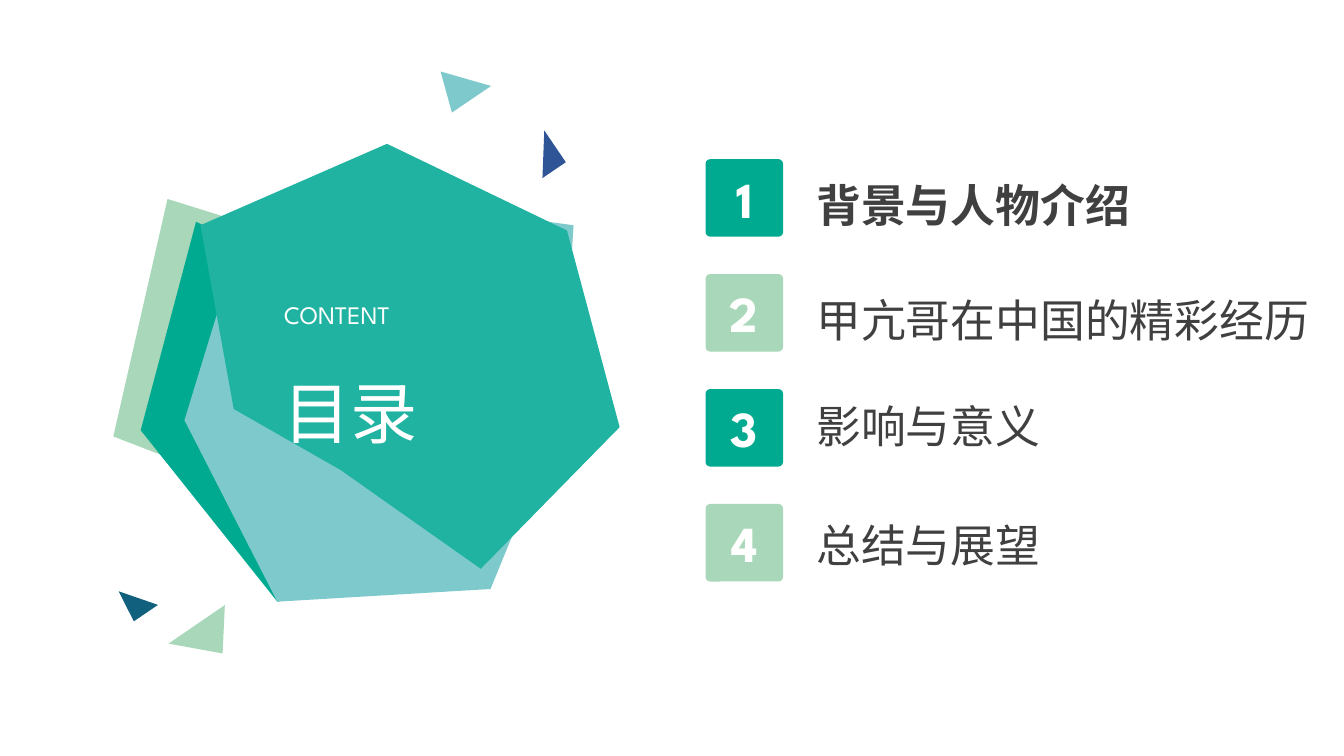
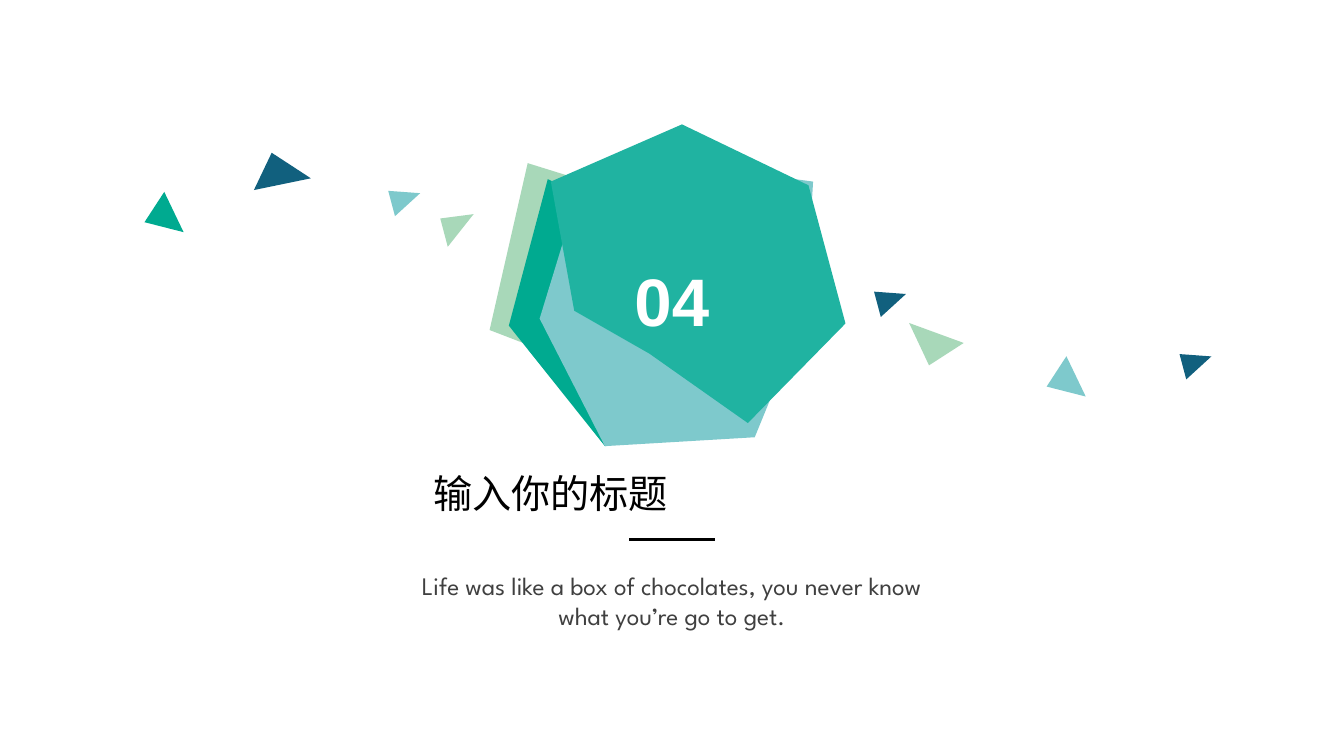
from pptx import Presentation
from pptx.chart.data import CategoryChartData
from pptx.dml.color import RGBColor
from pptx.enum.chart import XL_CHART_TYPE
from pptx.enum.shapes import MSO_CONNECTOR, MSO_SHAPE
from pptx.enum.text import MSO_ANCHOR, MSO_AUTO_SIZE, PP_ALIGN
from pptx.oxml import parse_xml
from pptx.oxml.ns import nsdecls, qn
from pptx.util import Pt

RADAR = XL_CHART_TYPE.RADAR_FILLED
STRAIGHT = MSO_CONNECTOR.STRAIGHT
ROUNDED, TRIANGLE = MSO_SHAPE.ROUNDED_RECTANGLE, MSO_SHAPE.ISOSCELES_TRIANGLE
LEFT, CENTER, JUSTIFY = PP_ALIGN.LEFT, PP_ALIGN.CENTER, PP_ALIGN.JUSTIFY
MIDDLE = MSO_ANCHOR.MIDDLE
GROW = MSO_AUTO_SIZE.SHAPE_TO_FIT_TEXT

TEAL, AQUA, GREEN, MINT = "20B3A1", "7EC9CC", "00AA90", "A8D8B9"
NAVY, BLUE = "11607E", "2F5597"
WHITE, GREY, BLACK = "FFFFFF", "404040", "000000"
DISPLAY, BODY, CHART_FONT = "League Spartan", "Arial", "Calibri"

GEM_RATIO = 0.678
GEM_PLOT = {"x": 0.128, "y": 0.008, "w": 0.707, "h": 0.984}
GEM_LAYERS = [
    (TEAL, (82, 82, 85, 77, 38, 56, 85)),
    (AQUA, (62, 85, 64, 85, 90, 74, 69)),
    (GREEN, (21, 21, 21, 72, 90, 90, 87)),
    (MINT, (38, 49, 23, 28, 56, 100, 100)),
    (NAVY, (77, 31, 67, 74, 49, 59, 62)),
]


def rgb(color):
    return RGBColor.from_string(color)


def write(frame, text, *, size, color, font=BODY, bold=False, align=LEFT):
    para = frame.paragraphs[0]
    para.alignment = align
    span = para.add_run()
    span.text = text
    span.font.name = font
    span.font.size = Pt(size)
    span.font.bold = bold
    span.font.color.rgb = rgb(color)


def place_plot(chart):
    """Fix the inner plot area as fractions of the chart."""
    plot_area = chart.element.find(f".//{qn('c:plotArea')}")
    for layout in plot_area.findall(qn("c:layout")):
        plot_area.remove(layout)
    modes = "".join(f'<c:{side}Mode val="edge"/>' for side in "xy")
    sizes = "".join(f'<c:{key} val="{part}"/>' for key, part in GEM_PLOT.items())
    plot_area.insert(0, parse_xml(
        f'<c:layout {nsdecls("c")}><c:manualLayout><c:layoutTarget val="inner"/>'
        f"{modes}{sizes}</c:manualLayout></c:layout>"))


class Deck:
    def __init__(self):
        self.deck = Presentation()
        self.deck.slide_width, self.deck.slide_height = Pt(960), Pt(540)
        self.page = None

    def new_page(self):
        self.page = self.deck.slides.add_slide(self.deck.slide_layouts[6])

    def text(self, left, top, width, height, text, **style):
        box = self.page.shapes.add_textbox(Pt(left), Pt(top), Pt(width), Pt(height))
        box.text_frame.word_wrap = True
        box.text_frame.auto_size = GROW
        write(box.text_frame, text, **style)

    def shape(self, kind, left, top, width, height, color, adjust):
        shape = self.page.shapes.add_shape(
            kind, Pt(left), Pt(top), Pt(width), Pt(height))
        shape.adjustments[0] = adjust
        shape.shadow.inherit = False
        shape.fill.solid()
        shape.fill.fore_color.rgb = rgb(color)
        shape.line.fill.background()
        return shape

    def shards(self, rows):
        """Scatter small rotated triangles."""
        for left, top, width, height, turn, apex, color in rows:
            shard = self.shape(TRIANGLE, left, top, width, height, color, apex)
            shard.rotation = turn

    def badge(self, left, top, size, label, color):
        badge = self.shape(ROUNDED, left, top, size, size, color, 0.06)
        badge.text_frame.vertical_anchor = MIDDLE
        write(badge.text_frame, label, size=36, color=WHITE, font=DISPLAY,
              bold=True, align=CENTER)

    def rule(self, left, top, width):
        line = self.page.shapes.add_connector(
            STRAIGHT, Pt(left), Pt(top), Pt(left + width), Pt(top))
        line.line.color.rgb = rgb(BLACK)
        line.line.width = Pt(2.25)
        line.element.spPr.append(parse_xml(f'<a:effectLst {nsdecls("a")}/>'))

    def gem(self, left, top, width):
        """Draw the layered polygon as a filled radar chart without axes."""
        chart_data = CategoryChartData()
        chart_data.categories = [str(number) for number in range(1, 8)]
        for number, (_, values) in enumerate(GEM_LAYERS, 1):
            chart_data.add_series(f"Series {number}", values)
        chart = self.page.shapes.add_chart(
            RADAR, Pt(left), Pt(top), Pt(width), Pt(width * GEM_RATIO),
            chart_data).chart
        chart.has_legend = chart.has_title = False
        chart.font.name, chart.font.size = CHART_FONT, Pt(10)
        chart.font.color.rgb = rgb(BLACK)
        for axis in (chart.category_axis, chart.value_axis):
            axis.has_major_gridlines = False
            axis.visible = False
        chart.value_axis.minimum_scale = 0
        chart.value_axis.maximum_scale = 100
        chart.plots[0].vary_by_categories = False
        for series, (color, _) in zip(chart.plots[0].series, GEM_LAYERS):
            series.format.fill.solid()
            series.format.fill.fore_color.rgb = rgb(color)
            series.format.line.fill.background()
        place_plot(chart)


def contents_page(deck):
    deck.new_page()
    deck.gem(-13, 63.4, 601.2)
    deck.text(195.8, 210.2, 142.6, 28.8, "CONTENT", size=18, color=WHITE,
              font=DISPLAY, align=JUSTIFY)
    deck.text(195.1, 261.4, 143.3, 65.5, "目录", size=48, color=WHITE, align=JUSTIFY)
    entries = [
        ("背景与人物介绍", 123.1, 334.8),
        ("甲亢哥在中国的精彩经历", 205.2, 388.8),
        ("影响与意义", 281.5, 293),
        ("总结与展望", 366.5, 293),
    ]
    for index, (title, top, width) in enumerate(entries):
        deck.badge(504, 113.7 + 82.1 * index, 55.4, str(index + 1),
                   (GREEN, MINT)[index % 2])
        deck.text(576, top, width, 46, title, size=32, color=GREY, bold=index == 0)
    deck.shards([
        (311.8, 44.6, 33.8, 28.8, 325.8, 0.29, AQUA),
        (87.1, 416.2, 20.9, 23.8, 325.8, 0.15, NAVY),
        (378, 96.5, 20.2, 27.4, 325.8, 1, BLUE),
        (123.1, 429.1, 34.6, 38.9, 272.7, 0.15, MINT),
    ])


def section_page(deck):
    deck.new_page()
    deck.gem(283.7, 61.2, 422.6)
    deck.text(408.2, 181.4, 143.3, 65.5, "04", size=48, color=WHITE, bold=True,
              align=CENTER)
    deck.text(277.2, 403.9, 405.4, 51.1,
              "Life was like a box of chocolates, you never know what you’re go to get.",
              size=18, color=GREY, font=DISPLAY, align=CENTER)
    deck.text(302.4, 331.9, 355, 41, "输入你的标题", size=28, color=BLACK,
              align=JUSTIFY)
    deck.rule(449.3, 385.2, 61.2)
    wide = (28.8, 24.5, 14.3, 0.29)
    small = (18.7, 21.6, 75.1, 0.4)
    deck.shards([
        (750.2, 255.6, *wide, AQUA),
        (652.3, 222.5, 29.5, 33.1, 327.2, 0.15, MINT),
        (318.2, 151.2, 20.9, 23.8, 75.1, 0.15, MINT),
        (627.8, 203.8, *small, NAVY),
        (280.8, 131.8, *small, AQUA),
        (187.9, 113, 29.5, 33.1, 115.5, 0.15, NAVY),
        (846, 248.4, *small, NAVY),
        (105.8, 138.2, *wide, GREEN),
    ])


def main():
    deck = Deck()
    contents_page(deck)
    section_page(deck)
    deck.deck.save("out.pptx")


if __name__ == "__main__":
    main()
